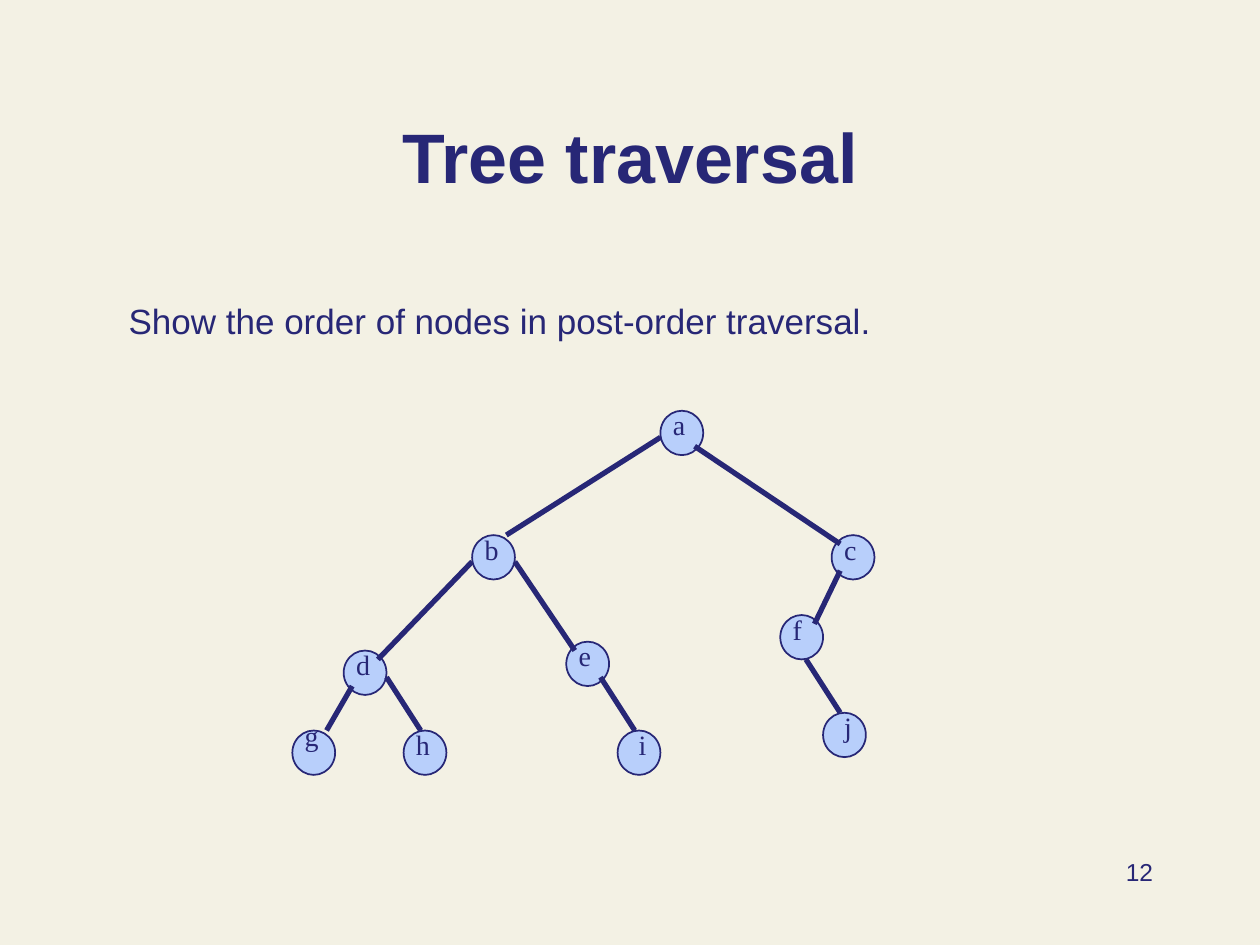
import pptx
import pptx.dml.color
import pptx.enum.shapes
import pptx.enum.text
import pptx.oxml.xmlchemy
import pptx.util

COLORS = {"page": "F3F1E4", "ink": "272776", "node": "B8CFFB"}
TREE_COLUMNS, TREE_ROWS, NODE_CELLS = 68, 41, 5

# Name: column and row of the node, then its label's shift in cells
NODES = {
    "a": (43, 0, 0, -1),
    "b": (21, 14, 0, -1),
    "c": (63, 14, 0, -1),
    "d": (6, 27, 0, -1),
    "e": (32, 26, 0, -1),
    "f": (57, 23, 0, -1),
    "g": (0, 36, 0, -2),
    "h": (13, 36, 0, -1),
    "i": (38, 36, 1, -1),
    "j": (62, 34, 1, -1),
}
# Parent and child, each with the cell of the node where the edge touches it
EDGES = [
    ("a", (0, 3), "b", (4, 0)),
    ("a", (4, 4), "c", (1, 1)),
    ("b", (0, 3), "d", (4, 1)),
    ("b", (5, 3), "e", (1, 1)),
    ("c", (1, 4), "f", (4, 1)),
    ("d", (1, 4), "g", (4, 0)),
    ("d", (5, 3), "h", (2, 0)),
    ("e", (4, 4), "i", (2, 0)),
    ("f", (3, 5), "j", (2, 0)),
]


def color(name):
    return pptx.dml.color.RGBColor.from_string(COLORS[name])


def place(shape, box):
    shape.left, shape.top, shape.width, shape.height = map(pptx.util.Inches, box)


def write(shape, text, size, font="Arial", bold=False,
          align=pptx.enum.text.PP_ALIGN.LEFT,
          anchor=pptx.enum.text.MSO_ANCHOR.TOP):
    frame = shape.text_frame
    frame.text = text
    frame.word_wrap = True
    frame.auto_size = pptx.enum.text.MSO_AUTO_SIZE.NONE
    frame.vertical_anchor = anchor
    para = frame.paragraphs[0]
    para.alignment = align
    para.space_before = pptx.util.Pt(0)
    span = para.runs[0]
    span.font.name = font
    span.font.size = pptx.util.Pt(size)
    span.font.bold = bold
    span.font.color.rgb = color("ink")


def add_title(page, box):
    place(page.shapes.title, box)
    write(page.shapes.title, "Tree traversal", 40, bold=True,
          align=pptx.enum.text.PP_ALIGN.CENTER,
          anchor=pptx.enum.text.MSO_ANCHOR.BOTTOM)


def add_body(page, box):
    body = page.placeholders[1]
    place(body, box)
    write(body, "Show the order of nodes in post-order traversal.", 20)
    properties = body.text_frame.paragraphs[0]._p.get_or_add_pPr()
    properties.set("marL", "0")
    properties.set("indent", "0")
    properties.append(pptx.oxml.xmlchemy.OxmlElement("a:buNone"))


def add_page_number(page, box):
    number = page.shapes.add_textbox(*map(pptx.util.Inches, box))
    write(number, "12", 14, align=pptx.enum.text.PP_ALIGN.RIGHT)


def add_tree(page, box):
    left, top, width, height = box
    cell_width, cell_height = width / TREE_COLUMNS, height / TREE_ROWS
    shapes = page.shapes.add_group_shape().shapes

    def point(column, row):
        return (pptx.util.Inches(left + column * cell_width),
                pptx.util.Inches(top + row * cell_height))

    def touch(name, offset):
        column, row = NODES[name][:2]
        return point(column + offset[0], row + offset[1])

    node_size = (pptx.util.Inches(NODE_CELLS * cell_width),
                 pptx.util.Inches(NODE_CELLS * cell_height))
    label_size = pptx.util.Inches(0.68), pptx.util.Inches(0.37)

    for column, row, _, _ in NODES.values():
        node = shapes.add_shape(pptx.enum.shapes.MSO_SHAPE.OVAL,
                                *point(column, row), *node_size)
        node.shadow.inherit = False
        node.fill.solid()
        node.fill.fore_color.rgb = color("node")
        node.line.color.rgb = color("ink")
        node.line.width = pptx.util.Pt(1)

    for parent, start, child, end in EDGES:
        edge = shapes.add_connector(pptx.enum.shapes.MSO_CONNECTOR.STRAIGHT,
                                    *touch(parent, start), *touch(child, end))
        edge.line.color.rgb = color("ink")
        edge.line.width = pptx.util.Pt(3)
        edge._element.spPr.append(pptx.oxml.xmlchemy.OxmlElement("a:effectLst"))

    for name, (_, _, *shift) in NODES.items():
        label = shapes.add_textbox(*touch(name, shift), *label_size)
        write(label, name, 16, font="Times New Roman")


def main():
    deck = pptx.Presentation()
    deck.slide_width = pptx.util.Inches(10)
    deck.slide_height = pptx.util.Inches(7.5)
    page = deck.slides.add_slide(deck.slide_layouts[1])
    page.background.fill.solid()
    page.background.fill.fore_color.rgb = color("page")
    add_title(page, (0.75, 0.54, 8.5, 1.08))
    add_body(page, (0.92, 2.33, 8.49, 1.21))
    add_page_number(page, (7.17, 6.75, 2.08, 0.5))
    add_tree(page, (2.32, 3.26, 4.62, 2.89))
    deck.save("out.pptx")


if __name__ == "__main__":
    main()
